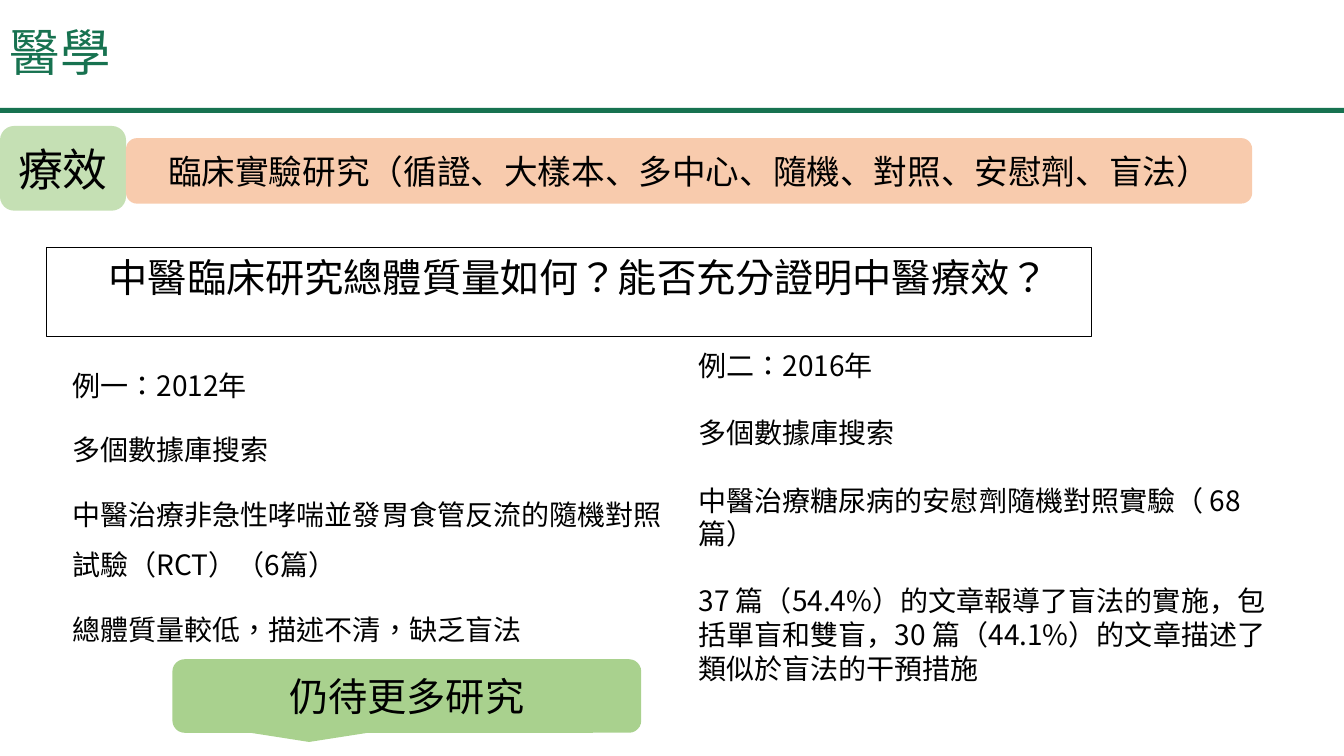
from pptx import Presentation
from pptx.dml.color import RGBColor
from pptx.enum.lang import MSO_LANGUAGE_ID
from pptx.enum.shapes import MSO_SHAPE
from pptx.enum.text import MSO_ANCHOR, PP_ALIGN
from pptx.oxml import parse_xml
from pptx.oxml.ns import nsdecls
from pptx.util import Inches, Pt

RECT = MSO_SHAPE.RECTANGLE
ROUND = MSO_SHAPE.ROUNDED_RECTANGLE
CALL = MSO_SHAPE.ROUNDED_RECTANGULAR_CALLOUT
MID, TOP = MSO_ANCHOR.MIDDLE, MSO_ANCHOR.TOP
LEFT, CENTER = PP_ALIGN.LEFT, PP_ALIGN.CENTER
TRAD = MSO_LANGUAGE_ID.TRADITIONAL_CHINESE
SIMP = MSO_LANGUAGE_ID.SIMPLIFIED_CHINESE

# Content
FONT = "Noto Sans CJK SC"
GREEN, BLACK = "177250", "000000"
TITLE = "醫學"
QUERY = "中醫臨床研究總體質量如何？能否充分證明中醫療效？"
# Kind, box, fill, text, size
LABELS = [
    (ROUND, (0, 1.25, 1.25, 0.84), "C5E0B4", "療效", 32),
    (ROUND, (1.25, 1.37, 11.17, 0.65), "F8CBAD",
     "臨床實驗研究（循證、大樣本、多中心、隨機、對照、安慰劑、盲法）", 24),
    (CALL, (1.71, 6.54, 4.65, 0.73), "A9D18E", "仍待更多研究", 28),
]
CASE_ONE = [
    ("例一：2012年", TRAD),
    ("多個數據庫搜索", TRAD),
    ("中醫治療非急性哮喘並發胃食管反流的隨機對照試驗（RCT）（6篇）", TRAD),
    ("總體質量較低，描述不清，缺乏盲法", TRAD),
]
CASE_TWO = [
    ("例二：2016年", TRAD),
    ("多個數據庫搜索", TRAD),
    ("中醫治療糖尿病的安慰劑隨機對照實驗（ 68篇）", SIMP),
    ("37 篇（54.4%）的文章報導了盲法的實施，包括單盲和雙盲，"
     "30 篇（44.1%）的文章描述了類似於盲法的干預措施", SIMP),
]

deck = Presentation()
deck.slide_width, deck.slide_height = Inches(13.33), Inches(7.5)
slide = deck.slides.add_slide(deck.slide_layouts[6])


def paint(target, color):
    if hasattr(target, "solid"):
        target.solid()
        target.fore_color.rgb = RGBColor.from_string(color)
    else:
        target.color.rgb = RGBColor.from_string(color)


def write(shape, lines, size, color=BLACK, align=LEFT, anchor=TOP,
          pitch=None, gap=0, first=0):
    frame = shape.text_frame
    frame.word_wrap = True
    frame.vertical_anchor = anchor
    for i, (text, lang) in enumerate(lines):
        para = frame.add_paragraph() if i else frame.paragraphs[0]
        para.alignment = align
        para.line_spacing = pitch
        para.space_before = Pt(gap if i else first)
        run = para.add_run()
        run.text = text
        run.font.size = Pt(size)
        run.font.name = FONT
        run.font.language_id = lang
        paint(run.font, color)
        # East Asian face follows the Latin one
        run.font._element.find("{*}latin").addnext(
            parse_xml(f'<a:ea {nsdecls("a")} typeface="{FONT}"/>'))


def block(kind, box, fill=None):
    shape = slide.shapes.add_shape(kind, *map(Inches, box))
    shape.shadow.inherit = False
    shape.line.fill.background()
    if fill:
        paint(shape.fill, fill)
    else:
        shape.fill.background()
    return shape


def area(*box):
    return slide.shapes.add_textbox(*map(Inches, box))


# Heading and rule
block(RECT, (-0.05, 1.07, 13.39, 0.05), GREEN)
write(area(0, 0.02, 11.5, 1.05), [(TITLE, TRAD)], 36, GREEN,
      anchor=MID, pitch=0.9)

# First case
write(area(0.62, 3.44, 6.05, 3.55), CASE_ONE, 20, pitch=1.5, gap=10, first=10)

# Coloured labels
for kind, box, fill, text, size in LABELS:
    write(block(kind, box, fill), [(text, SIMP)], size,
          align=CENTER, anchor=MID)

# Framed question
frame = block(RECT, (0.46, 2.46, 10.37, 0.88))
paint(frame.line, BLACK)
frame.line.width = Pt(0.75)
write(frame, [(QUERY, TRAD)], 28)
frame.text_frame.margin_left = Inches(0.62)

# Second case, one line of space between paragraphs
write(area(6.83, 3.41, 5.86, 3.13), CASE_TWO, 20, gap=24)

deck.save("out.pptx")
